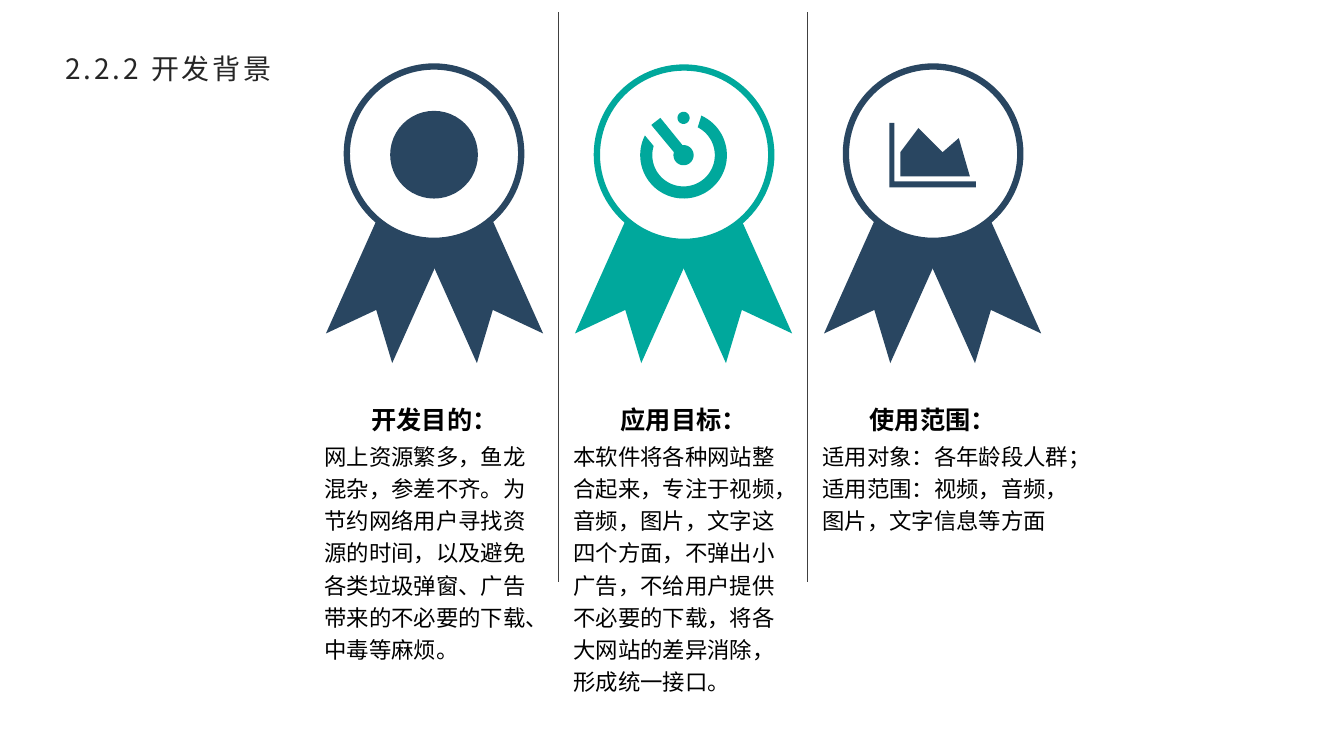
from math import cos, radians, sin

from lxml import etree
from pptx import Presentation
from pptx.dml.color import RGBColor
from pptx.enum.shapes import MSO_CONNECTOR, MSO_SHAPE
from pptx.enum.text import MSO_ANCHOR, MSO_AUTO_SIZE, PP_ALIGN
from pptx.oxml.ns import qn
from pptx.util import Pt

PX = 9144
FONT = "Noto Sans CJK SC"
COLORS = {"navy": "294661", "teal": "00A89C", "white": "FFFFFF",
          "text": "000000", "title": "262626", "rule": "404040"}
ELLIPSE, RIBBON = MSO_SHAPE.OVAL, MSO_SHAPE.NOTCHED_RIGHT_ARROW
STRAIGHT = MSO_CONNECTOR.STRAIGHT
TOP, BOTTOM = MSO_ANCHOR.TOP, MSO_ANCHOR.BOTTOM
LEFT, CENTER = PP_ALIGN.LEFT, PP_ALIGN.CENTER
NO_AUTOFIT = MSO_AUTO_SIZE.NONE

COLUMN_LEFT, COLUMN_STEP = 312, 247
COLUMNS = [
    ("navy", 344, 66, 238, "开发目的：",
     ["网上资源繁多，鱼龙混杂，参差不齐。为节约网络用户寻找资源的时间，以及避免各类垃圾弹窗、广告带来的不必要的下载、中毒等麻烦。"]),
    ("teal", 592, 67, 238, "应用目标：",
     ["本软件将各种网站整合起来，专注于视频，音频，图片，文字这四个方面，不弹出小广告，不给用户提供不必要的下载，将各大网站的差异消除，形成统一接口。"]),
    ("navy", 839, 66, 269, "使用范围：",
     ["适用对象：各年龄段人群；", "适用范围：视频，音频，图片，文字信息等方面"]),
]


def arc(cx, cy, radius, start, end, steps=60):
    angles = [radians(start + (end - start) * i / steps) for i in range(steps + 1)]
    return [(cx + radius * cos(a), cy + radius * sin(a)) for a in angles]


def write(shape, paragraphs, size, color, align, anchor, margins, spacing, bold=False, tracking=0):
    tf = shape.text_frame
    tf.word_wrap = True
    tf.auto_size = NO_AUTOFIT
    tf.vertical_anchor = anchor
    tf.margin_left = tf.margin_right = 10 * PX
    tf.margin_top, tf.margin_bottom = [m * PX for m in margins]
    for i, text in enumerate(paragraphs):
        p = tf.add_paragraph() if i else tf.paragraphs[0]
        p.alignment = align
        p.line_spacing = spacing
        p.space_before = p.space_after = Pt(0)
        r = p.add_run()
        r.text = text
        r.font.size = Pt(size)
        r.font.bold = bold
        r.font.name = FONT
        r.font.color.rgb = RGBColor.from_string(COLORS[color])
        rPr = r.font._element
        rPr.set("spc", str(tracking))
        ea = etree.Element(qn("a:ea"), typeface=FONT)
        rPr.find(qn("a:latin")).addnext(ea)


prs = Presentation()
prs.slide_width, prs.slide_height = 1333 * PX, 750 * PX
s = prs.slides.add_slide(prs.slide_layouts[5])
title = s.shapes.title
title.left, title.top, title.width, title.height = [v * PX for v in (55, 46, 1187, 48)]
write(title, ["2.2.2 开发背景"], 20, "title", LEFT, TOP, (5, 5), 1.0, tracking=200)

timer_ring = (arc(678, 154, 43, -66, 207) + arc(678, 154, 31, 197, -63) + [(695, 117)])
timer_hand = [(655, 117)] + arc(678, 154, 10, -96, 197) + [(646, 124)]
timer_dot = arc(678, 117, 6, 0, 360)
chart_axes = [(968, 186), (882, 186), (882, 122), (887, 122), (887, 180), (968, 180)]
chart_area = [(962, 175), (893, 175), (893, 151), (911, 127), (935, 151), (951, 137)]
ICONS = [None, [timer_ring, timer_hand, timer_dot], [chart_axes, chart_area]]

for i, (color, medal_left, medal_top, body_width, heading, body) in enumerate(COLUMNS):
    left = COLUMN_LEFT + i * COLUMN_STEP
    rgb = RGBColor.from_string(COLORS[color])
    filled = []
    for x, angle, flipped in ((left + 65, 65.9, True), (left - 10, 294.1, False)):
        sp = s.shapes.add_shape(RIBBON, x * PX, 226 * PX, 183 * PX, 72 * PX)
        sp.adjustments[0], sp.adjustments[1] = 1, 0.58
        sp.rotation = angle
        if flipped:
            sp._element.spPr.find(qn("a:xfrm")).set("flipH", "1")
        filled.append(sp)

    medal = s.shapes.add_shape(ELLIPSE, medal_left * PX, medal_top * PX, 173 * PX, 173 * PX)
    medal.shadow.inherit = False
    medal.fill.solid()
    medal.fill.fore_color.rgb = RGBColor.from_string(COLORS["white"])
    medal.line.color.rgb = rgb
    medal.line.width = Pt(4.5)

    if ICONS[i]:
        contours = [[(x * PX, y * PX) for x, y in c] for c in ICONS[i]]
        builder = s.shapes.build_freeform(*contours[0][0])
        builder.add_line_segments(contours[0][1:])
        for contour in contours[1:]:
            builder.move_to(*contour[0])
            builder.add_line_segments(contour[1:])
        filled.append(builder.convert_to_shape())
    else:
        filled.append(s.shapes.add_shape(ELLIPSE, 387 * PX, 110 * PX, 87 * PX, 87 * PX))

    for sp in filled:
        sp.shadow.inherit = False
        sp.fill.solid()
        sp.fill.fore_color.rgb = rgb
        sp.line.fill.background()

    box = s.shapes.add_textbox(left * PX, 434 * PX, body_width * PX, 258 * PX)
    write(box, body, 16, "text", LEFT, TOP, (0, 5), 1.2)
    box = s.shapes.add_textbox(left * PX, 387 * PX, 238 * PX, 44 * PX)
    write(box, [heading], 18, "text", CENTER, BOTTOM, (5, 0), 1.2, bold=True)

for i in range(2):
    x = (554 + i * COLUMN_STEP) * PX
    rule = s.shapes.add_connector(STRAIGHT, x, 12 * PX, x, 577 * PX)
    rule.line.color.rgb = RGBColor.from_string(COLORS["rule"])
    rule.line.width = Pt(0.25)
    etree.SubElement(rule._element.spPr, qn("a:effectLst"))

prs.save("out.pptx")
